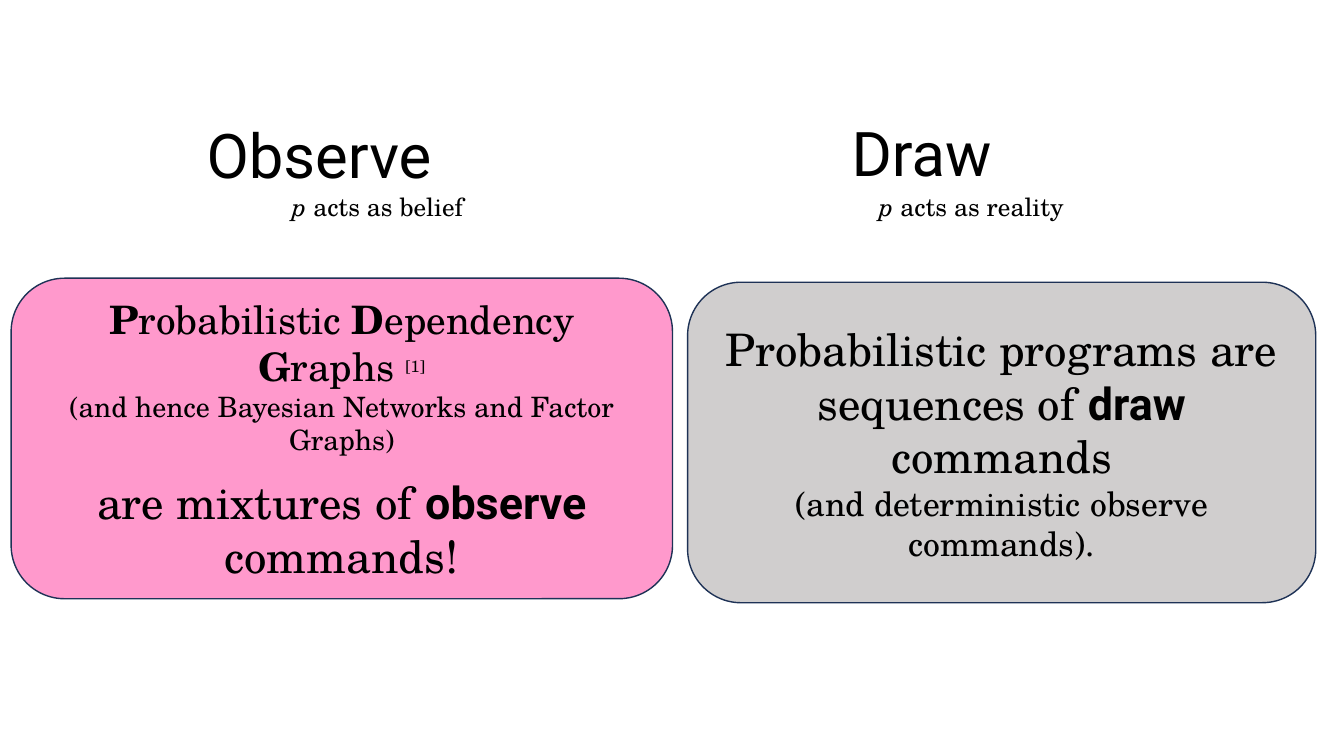
from pptx import Presentation
from pptx.dml.color import RGBColor
from pptx.enum.shapes import MSO_SHAPE as Preset
from pptx.enum.text import MSO_ANCHOR as Anchor, MSO_AUTO_SIZE as AutoSize, PP_ALIGN as Align
from pptx.util import Inches, Pt

BLACK = RGBColor(0x00, 0x00, 0x00)
PINK = RGBColor(0xFF, 0x99, 0xCC)
GRAY = RGBColor(0xD0, 0xCE, 0xCE)
NAVY = RGBColor(0x1E, 0x32, 0x56)

SLIDE_WIDTH, SLIDE_HEIGHT = Inches(13.33), Inches(7.5)
SERIF, SANS = "TeX Gyre Schola", "Roboto"
BOLD = {"bold": True}
ITALIC = {"italic": True}
COMMAND = {"bold": True, "name": SANS}
SUPERSCRIPT = 30000


def area(left, top, width, height):
    """Turn percentages of the slide into lengths."""
    return (int(SLIDE_WIDTH * left / 100), int(SLIDE_HEIGHT * top / 100),
            int(SLIDE_WIDTH * width / 100), int(SLIDE_HEIGHT * height / 100))


def set_attributes(target, values):
    for name, value in values.items():
        setattr(target, name, value)


def add_runs(paragraph, size, runs, font_name=SERIF):
    for text, changes in runs:
        run = paragraph.add_run()
        run.text = text
        values = {"name": font_name, "size": Pt(size), "bold": False, "italic": False}
        values.update(changes)
        baseline = values.pop("baseline", None)
        set_attributes(run.font, values)
        run.font.color.rgb = BLACK
        if baseline:
            run._r.get_or_add_rPr().set("baseline", str(baseline))


def write(shape, paragraphs, anchor, font_name=SERIF, line_spacing=1.0):
    """Fill a shape with paragraphs of (size, space before, runs)."""
    frame = shape.text_frame
    set_attributes(frame, {"word_wrap": True, "auto_size": AutoSize.NONE,
                           "vertical_anchor": anchor})
    for index, (size, gap, runs) in enumerate(paragraphs):
        paragraph = frame.add_paragraph() if index else frame.paragraphs[0]
        set_attributes(paragraph, {"alignment": Align.CENTER, "space_before": Pt(gap),
                                   "line_spacing": line_spacing})
        add_runs(paragraph, size, runs, font_name)


def write_heading(shape, text):
    write(shape, [(44, 0, [(text, {})])], Anchor.MIDDLE, SANS, 0.9)


def add_caption(slide, place, text):
    caption = slide.shapes.add_textbox(*area(*place))
    write(caption, [(18, 0, [("p", ITALIC), (text, {})])], Anchor.TOP)


def add_card(slide, place, color, paragraphs):
    card = slide.shapes.add_shape(Preset.ROUNDED_RECTANGLE, *area(*place))
    card.shadow.inherit = False
    card.fill.solid()
    card.fill.fore_color.rgb = color
    card.line.color.rgb = NAVY
    card.line.width = Pt(1)
    write(card, paragraphs, Anchor.MIDDLE)


def main():
    presentation = Presentation()
    set_attributes(presentation, {"slide_width": SLIDE_WIDTH, "slide_height": SLIDE_HEIGHT})
    slide = presentation.slides.add_slide(presentation.slide_layouts[5])

    # Headings
    title = slide.shapes.title
    set_attributes(title, dict(zip(("left", "top", "width", "height"),
                                   area(9.53, 14.27, 28.43, 13.47))))
    write_heading(title, "Observe")
    write_heading(slide.shapes.add_textbox(*area(56.19, 14.27, 24.76, 12.8)), "Draw")

    # Captions
    add_caption(slide, (19.95, 24.67, 16.28, 5.33), " acts as belief")
    add_caption(slide, (58.51, 24.67, 27.53, 5.33), " acts as reality")

    # Cards
    add_card(slide, (0.83, 36.8, 49.21, 42.4), PINK, [
        (28, 0, [("P", BOLD), ("robabilistic ", {}), ("D", BOLD), ("ependency ", {}),
                 ("G", BOLD), ("raphs ", {}),
                 ("[1]", {"size": Pt(20), "baseline": SUPERSCRIPT})]),
        (20, 0, [("(and hence Bayesian Networks and Factor Graphs)", {})]),
        (32, 13, [("are mixtures of ", {}), ("observe", COMMAND), (" commands!", {})]),
    ])
    add_card(slide, (51.16, 37.33, 46.74, 42.4), GRAY, [
        (32, 0, [("Probabilistic programs are sequences of ", {}), ("draw", COMMAND),
                 (" commands", {})]),
        (24, 0, [("(and deterministic observe commands).", {})]),
    ])

    presentation.save("out.pptx")


if __name__ == "__main__":
    main()
